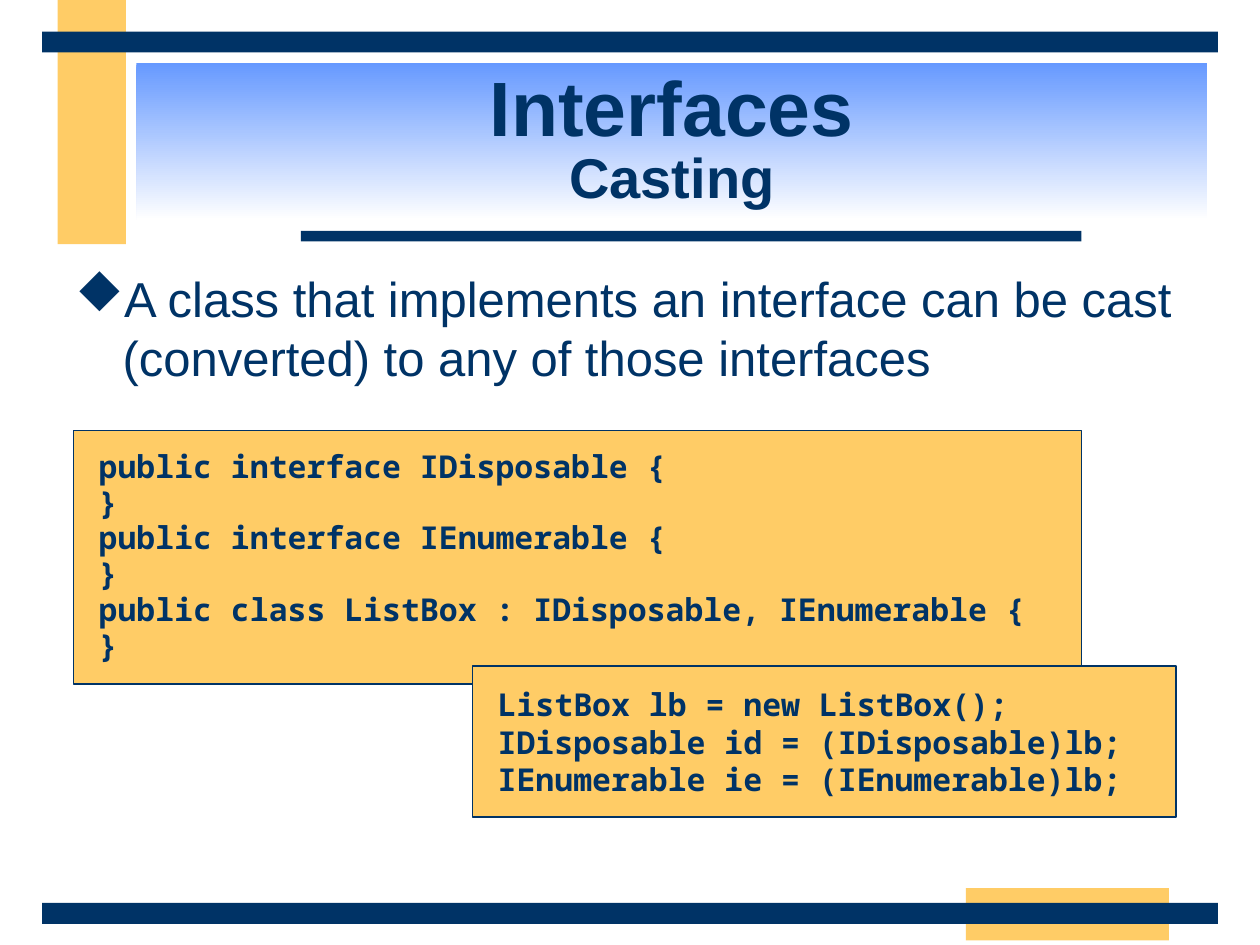
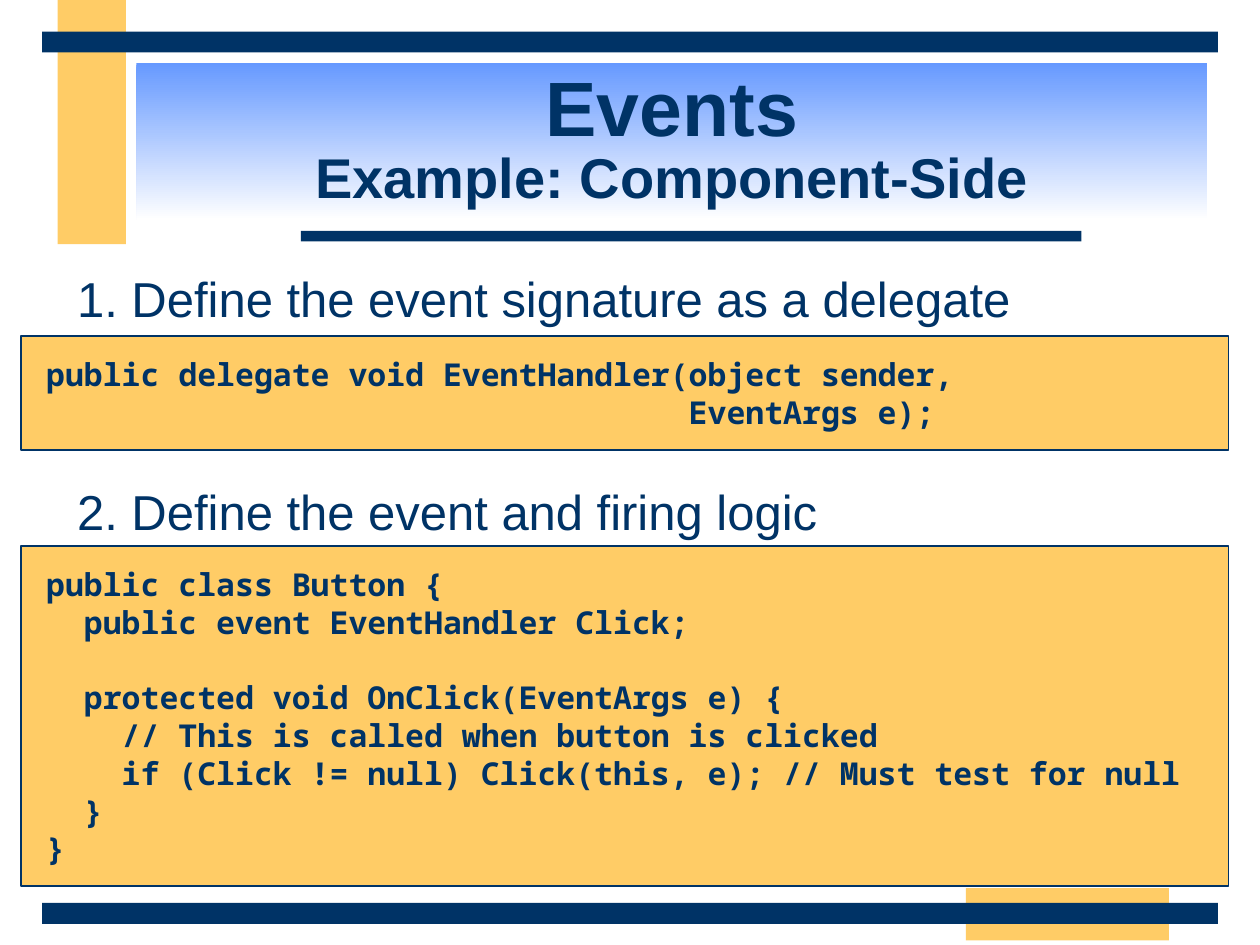
from lxml.etree import SubElement
from pptx import Presentation
from pptx.dml.color import RGBColor
from pptx.enum.shapes import MSO_SHAPE
from pptx.enum.text import MSO_ANCHOR, PP_ALIGN
from pptx.oxml.ns import qn
from pptx.util import Pt

NAVY = RGBColor(0x00, 0x33, 0x66)
GOLD = RGBColor(0xFF, 0xCC, 0x66)
BLUE = RGBColor(0x66, 0x99, 0xFF)
WHITE = RGBColor(0xFF, 0xFF, 0xFF)

BODY_FONT = "Arial"
CODE_FONT = "Noto Sans Mono"
BULLET_FONT = "Wingdings"
DIAMOND = "u"  # the diamond's place in the bullet font

# Left, top, width, height in points, back to front
BANDS = [
    (GOLD, 33, 0, 39, 139.5),
    (GOLD, 552, 507.5, 116, 30),
    (NAVY, 172, 132, 446, 6),
    (NAVY, 24, 516, 672, 12),
    (NAVY, 24, 18, 672, 12),
]

INTERFACES_CODE = """public interface IDisposable {
}
public interface IEnumerable {
}
public class ListBox : IDisposable, IEnumerable {
}"""

CASTING_CODE = """ListBox lb = new ListBox();
IDisposable id = (IDisposable)lb;
IEnumerable ie = (IEnumerable)lb;"""

DELEGATE_CODE = """public delegate void EventHandler(object sender,
                                  EventArgs e);"""

BUTTON_CODE = """public class Button {
  public event EventHandler Click;
\v  protected void OnClick(EventArgs e) {
    // This is called when button is clicked
    if (Click != null) Click(this, e); // Must test for null
  }
}"""


def write_text(frame, text, size, font=BODY_FONT, bold=False,
               align=PP_ALIGN.LEFT, line_spacing=1.0, gap=0):
    """Write one paragraph per line, with gap points between paragraphs."""
    frame.word_wrap = True
    for number, line in enumerate(text.split("\n")):
        paragraph = frame.add_paragraph() if number else frame.paragraphs[0]
        paragraph.text = line
        paragraph.alignment = align
        paragraph.line_spacing = line_spacing
        paragraph.space_before = Pt(gap if number else 0)
        for run in paragraph.runs:
            run.font.name = font
            run.font.size = Pt(size)
            run.font.bold = bold
            run.font.color.rgb = NAVY


def add_box(slide, left, top, width, height, fill=None):
    box = slide.shapes.add_shape(
        MSO_SHAPE.RECTANGLE, Pt(left), Pt(top), Pt(width), Pt(height))
    box.shadow.inherit = False
    box.line.fill.background()
    if fill is not None:
        box.fill.solid()
        box.fill.fore_color.rgb = fill
    return box


def add_title(slide, topic, subtitle):
    banner = add_box(slide, 78, 36, 612, 90)
    banner.fill.gradient()
    banner.fill.gradient_angle = 270
    for stop, color, position in zip(
            banner.fill.gradient_stops, (BLUE, WHITE), (0, 1)):
        stop.color.rgb = color
        stop.position = position
    frame = banner.text_frame
    frame.vertical_anchor = MSO_ANCHOR.MIDDLE
    write_text(frame, f"{topic}\v{subtitle}", 44, bold=True,
               align=PP_ALIGN.CENTER, line_spacing=0.85)
    frame.paragraphs[0].runs[1].font.size = Pt(32)


def add_body(slide, text, indent, bullet=None, gap=0):
    body = slide.shapes.add_textbox(Pt(36), Pt(150), Pt(648), Pt(354))
    write_text(body.text_frame, text, 28, gap=gap)
    for paragraph in body.text_frame.paragraphs:
        properties = paragraph._p.get_or_add_pPr()
        properties.set("marL", str(Pt(27)))
        properties.set("indent", str(Pt(indent)))
        if bullet:
            color = SubElement(properties, qn("a:buClr"))
            SubElement(color, qn("a:srgbClr"), val=str(NAVY))
            SubElement(properties, qn("a:buFont"), typeface=BULLET_FONT,
                       pitchFamily="2", charset="2")
            SubElement(properties, qn("a:buChar"), char=bullet)


def add_code(slide, code, left, top, width, height, line_spacing=1.0):
    panel = add_box(slide, left, top, width, height, GOLD)
    panel.line.color.rgb = NAVY
    panel.line.width = Pt(1)
    frame = panel.text_frame
    frame.margin_left = frame.margin_right = Pt(14.4)
    frame.margin_top = frame.margin_bottom = Pt(10.8)
    frame.vertical_anchor = MSO_ANCHOR.TOP
    write_text(frame, code, 18, font=CODE_FONT, bold=True,
               line_spacing=line_spacing)


def add_slide(deck, topic, subtitle):
    slide = deck.slides.add_slide(deck.slide_layouts[6])
    for color, *place in BANDS:
        add_box(slide, *place, fill=color)
    add_title(slide, topic, subtitle)
    return slide


def main():
    deck = Presentation()
    deck.slide_width, deck.slide_height = Pt(720), Pt(540)

    casting = add_slide(deck, "Interfaces", "Casting")
    add_body(casting, "A class that implements an interface can be cast "
             "(converted) to any of those interfaces",
             indent=-27, bullet=DIAMOND)
    add_code(casting, INTERFACES_CODE, 42, 246, 576, 145, line_spacing=0.95)
    add_code(casting, CASTING_CODE, 270, 380.5, 402, 86.5)

    events = add_slide(deck, "Events", "Example: Component-Side")
    add_body(events, "1. Define the event signature as a delegate\n"
             "2. Define the event and firing logic", indent=-26, gap=88)
    add_code(events, DELEGATE_CODE, 12, 192, 690, 65)
    add_code(events, BUTTON_CODE, 12, 312, 690, 194.5)

    deck.save("out.pptx")


if __name__ == "__main__":
    main()
